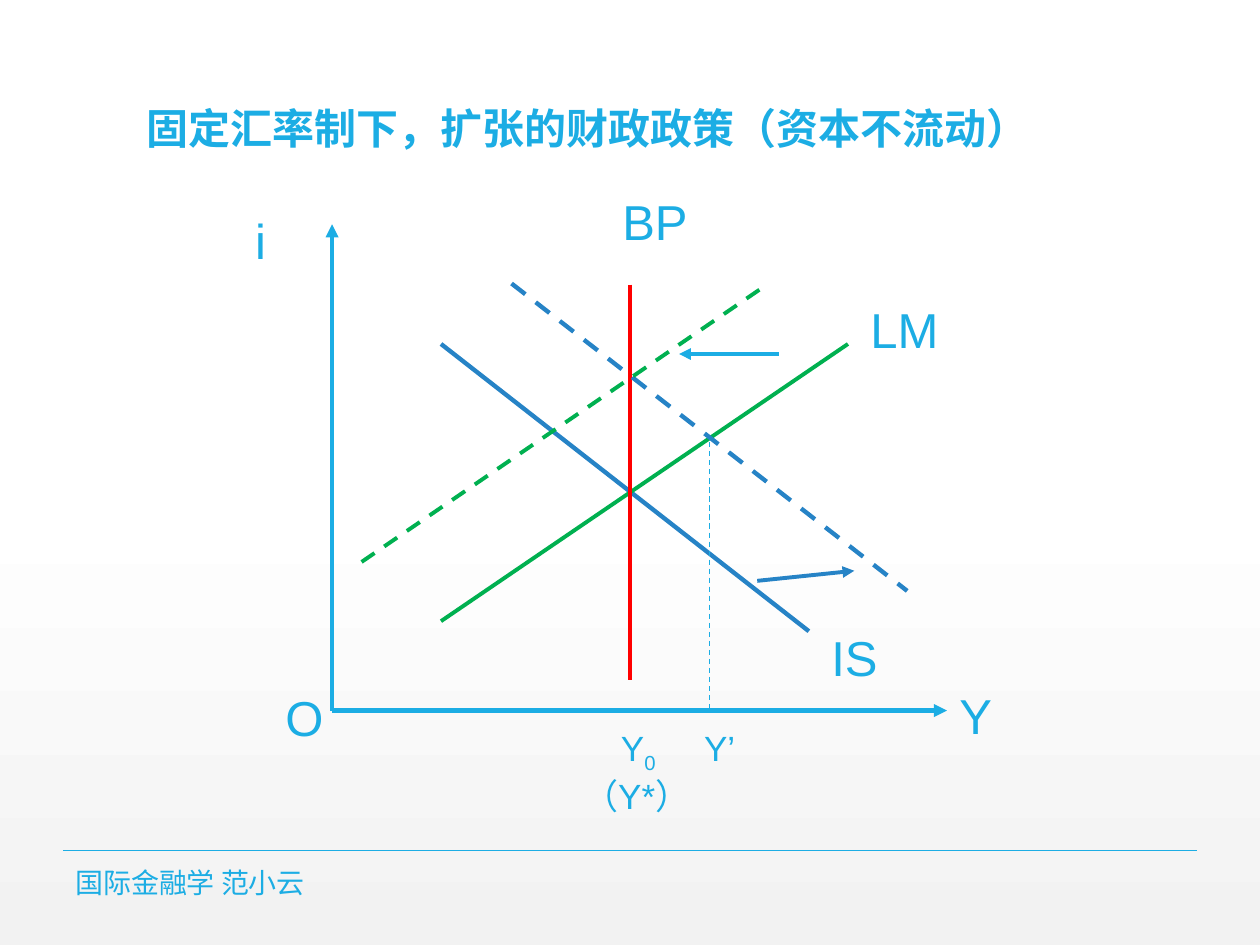
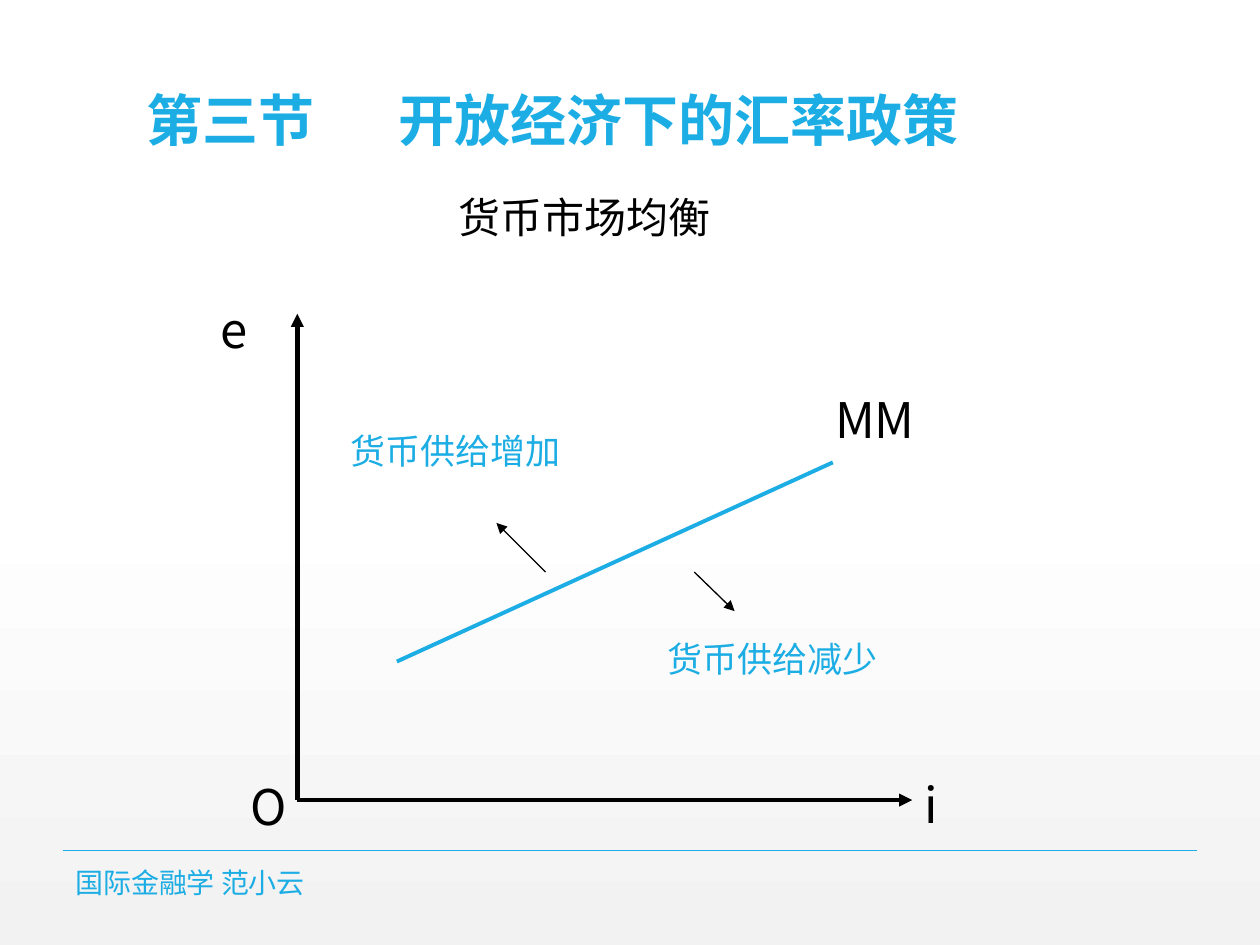
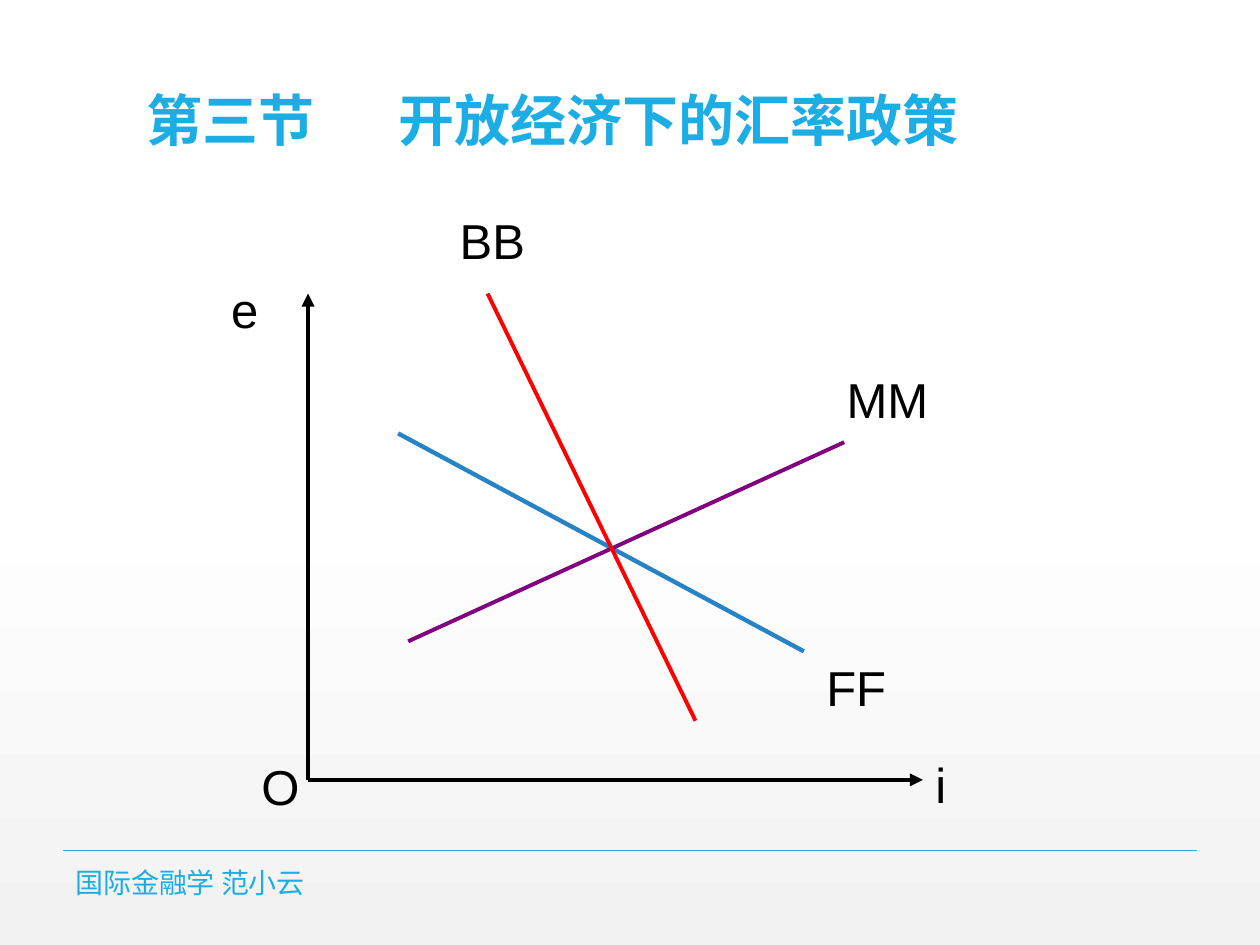
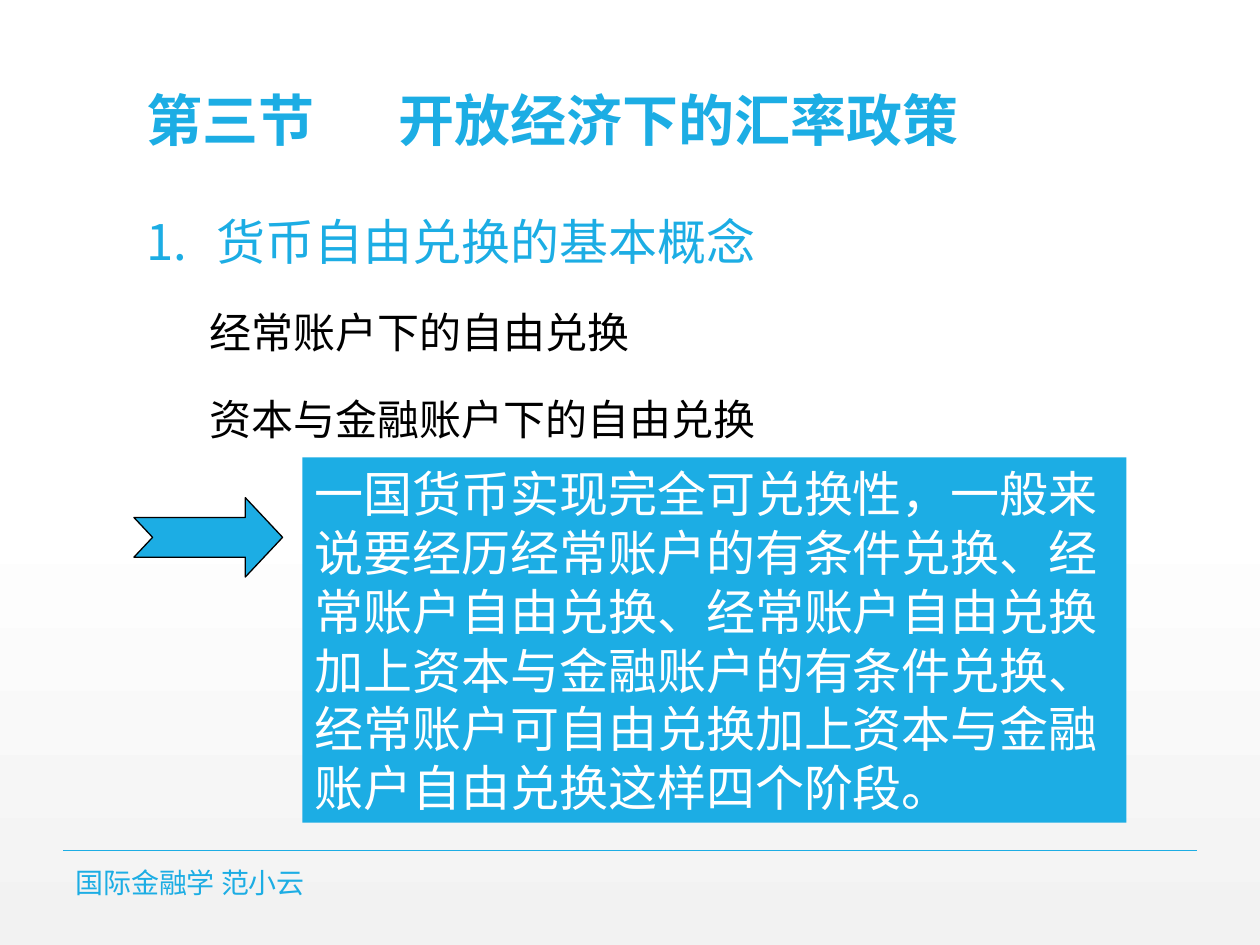
import copy

import pptx
import pptx.dml.color
import pptx.enum.dml
import pptx.enum.shapes
import pptx.enum.text
import pptx.oxml
import pptx.oxml.ns
import pptx.util

BLUE, DARK_BLUE, GREEN = "1CADE4", "2683C6", "00B050"
RED, PURPLE, BLACK, WHITE = "FF0000", "800080", "000000", "FFFFFF"
LATIN, CHINESE = "Arial", "Noto Sans CJK SC"
SECTION_TITLE = "第三节\t开放经济下的汇率政策"
NAMESPACE = pptx.oxml.ns.nsdecls("a")

presentation = pptx.Presentation()
presentation.slide_width = pptx.util.Inches(10)
presentation.slide_height = pptx.util.Inches(7.5)

# Grid: 100 columns by 75 rows
COLUMN = presentation.slide_width / 100
ROW = presentation.slide_height / 75
CONTENT_LEFT = 10.63


def add_text(slide, text, box, size, color, font=LATIN, bold=False, anchor="TOP", shape_type=None):
    """Add text in a box of columns and rows; "|" separates runs, a newline paragraphs."""
    left, top, width, height = box
    place = [round(left * COLUMN), round(top * ROW), round(width * COLUMN), round(height * ROW)]
    if shape_type is None:
        shape = slide.shapes.add_textbox(*place)
    else:
        shape = slide.shapes.add_shape(shape_type, *place)
        shape.shadow.inherit = False
    frame = shape.text_frame
    frame.word_wrap = True
    frame.vertical_anchor = pptx.enum.text.MSO_ANCHOR[anchor]
    first, *others = text.split("|")
    frame.text = first
    for part in others:
        frame.paragraphs[0].add_run().text = part
    for paragraph in frame.paragraphs:
        paragraph.alignment = pptx.enum.text.PP_ALIGN.LEFT
        for run in paragraph.runs:
            run.font.size = pptx.util.Pt(size)
            run.font.bold = bold
            run.font.name = font
            run.font.color.rgb = pptx.dml.color.RGBColor.from_string(color)
            east_asian = pptx.oxml.parse_xml(f'<a:ea {NAMESPACE} typeface="{CHINESE}"/>')
            run._r.get_or_add_rPr().append(east_asian)
    return shape


def add_line(slide, start, end, color, width=2.25, style=""):
    """Draw a line between grid points; style may hold "dash" or "arrow"."""
    connector = slide.shapes.add_connector(
        pptx.enum.shapes.MSO_CONNECTOR.STRAIGHT,
        round(start[0] * COLUMN), round(start[1] * ROW),
        round(end[0] * COLUMN), round(end[1] * ROW))
    connector.line.color.rgb = pptx.dml.color.RGBColor.from_string(color)
    connector.line.width = pptx.util.Pt(width)
    if style == "dash":
        connector.line.dash_style = pptx.enum.dml.MSO_LINE.DASH
    if style == "arrow":
        arrowhead = pptx.oxml.parse_xml(f'<a:tailEnd {NAMESPACE} type="triangle"/>')
        connector.line._get_or_add_ln().append(arrowhead)
    connector._element.spPr.append(pptx.oxml.parse_xml(f"<a:effectLst {NAMESPACE}/>"))


# Shared background: white fading to light grey
master = presentation.slide_master
fill = master.background.fill
fill.gradient()
fill.gradient_angle = 270
stop_list = master.element.find(".//" + pptx.oxml.ns.qn("a:gsLst"))
stop_list.insert(1, copy.deepcopy(stop_list[0]))
for stop, (position, color) in zip(fill.gradient_stops, [(0, WHITE), (0.53, WHITE), (1, "F2F2F2")]):
    stop.position = position
    stop.color.rgb = pptx.dml.color.RGBColor.from_string(color)

# Shared title with its tab stop, rule and footer
slides = []
for title, title_size in [("固定汇率制下，扩张的财政政策（资本不流动）", 24)] + [(SECTION_TITLE, 32)] * 3:
    slide = presentation.slides.add_slide(presentation.slide_layouts[6])
    add_line(slide, (5, 67.5), (95, 67.5), BLUE, 1)
    heading = add_text(slide, title, (CONTENT_LEFT, 0.2, 78.8, 12.5), title_size, BLUE, bold=True, anchor="BOTTOM")
    paragraph = heading.text_frame.paragraphs[0]
    paragraph.line_spacing = 0.9
    paragraph._p.get_or_add_pPr().append(pptx.oxml.parse_xml(
        f'<a:tabLst {NAMESPACE}><a:tab pos="{round(20 * COLUMN)}" algn="l"/></a:tabLst>'))
    add_text(slide, "国际金融学 范小云", (5, 68.8, 50.3, 2.4), 16, BLUE, CHINESE, anchor="MIDDLE")
    slides.append(slide)
policy_slide, money_slide, equilibrium_slide, convertibility_slide = slides

# Axes with their labels, all placed from the origin
for slide, (x, y), color, font, vertical, horizontal in [
    (policy_slide, (26.36, 56.4), BLUE, LATIN, "i", "Y"),
    (money_slide, (23.6, 63.5), BLACK, CHINESE, "e", "i"),
    (equilibrium_slide, (24.45, 61.9), BLACK, LATIN, "e", "i"),
]:
    add_line(slide, (x, y), (x, y - 38.6), color, 2.5, "arrow")
    add_line(slide, (x, y), (x + 48.8, y), color, 2.5, "arrow")
    for label, across, down in [(vertical, -7.1, -40.2), (horizontal, 48.8, -2.5), ("O", -4.7, -2.35)]:
        add_text(slide, label, (x + across, y + down, 5.5, 5.7), 28, color, font)

# Curves and shift arrows
for slide, start, end, color, width, style in [
    (policy_slide, (35, 27.3), (64.2, 50.1), DARK_BLUE, 2.5, ""),
    (policy_slide, (35, 49.3), (67.3, 27.3), GREEN, 2.25, ""),
    (policy_slide, (50, 22.6), (50, 54), RED, 2.25, ""),
    (policy_slide, (40.6, 22.5), (72, 46.9), DARK_BLUE, 2.5, "dash"),
    (policy_slide, (60.1, 46.1), (67.8, 45.3), DARK_BLUE, 2.25, "arrow"),
    (policy_slide, (28.7, 44.6), (61, 22.5), GREEN, 2.25, "dash"),
    (policy_slide, (61.8, 28.1), (53.9, 28.1), BLUE, 2.25, "arrow"),
    (policy_slide, (56.3, 35.1), (56.3, 56.4), BLUE, 0.75, "dash"),
    (money_slide, (31.5, 52.5), (66.1, 36.7), BLUE, 2.25, ""),
    (money_slide, (43.3, 45.4), (39.4, 41.5), BLACK, 0.75, "arrow"),
    (money_slide, (55.1, 45.4), (58.3, 48.5), BLACK, 0.75, "arrow"),
    (equilibrium_slide, (31.6, 34.4), (63.8, 51.7), DARK_BLUE, 2.5, ""),
    (equilibrium_slide, (32.4, 50.9), (67, 35.1), PURPLE, 2.25, ""),
    (equilibrium_slide, (38.7, 23.3), (55.2, 57.2), RED, 2.25, ""),
]:
    add_line(slide, start, end, color, width, style)

# Curve labels
for slide, label, box, size, color, font in [
    (policy_slide, "LM", (68.1, 23.3, 7.9, 5.7), 28, BLUE, LATIN),
    (policy_slide, "BP", (48.4, 14.7, 7.9, 5.7), 28, BLUE, LATIN),
    (policy_slide, "IS", (65, 49.3, 7.1, 5.7), 28, BLUE, LATIN),
    (policy_slide, "Y’", (54.9, 57.2, 8.7, 4.3), 20, BLUE, LATIN),
    (money_slide, "MM", (65.3, 30.4, 10.2, 5.7), 28, BLACK, CHINESE),
    (money_slide, "货币市场均衡", (35.4, 14.7, 35.4, 5), 24, BLACK, CHINESE),
    (money_slide, "货币供给增加", (26.8, 33.6, 29.9, 4.4), 20, BLUE, CHINESE),
    (money_slide, "货币供给减少", (52, 50.1, 26, 4.4), 20, BLUE, CHINESE),
    (equilibrium_slide, "MM", (66.2, 28.8, 10.2, 5.7), 28, BLACK, LATIN),
    (equilibrium_slide, "BB", (35.5, 16.2, 7.9, 5.7), 28, BLACK, LATIN),
    (equilibrium_slide, "FF", (64.6, 51.7, 7.1, 5.7), 28, BLACK, LATIN),
]:
    add_text(slide, label, box, size, color, font)

# Initial income, with subscript and indented first line
income = add_text(policy_slide, "Y|0|（Y*）", (45.3, 57.2, 12.8, 7.7), 20, BLUE)
income.text_frame.margin_right = 0
paragraph = income.text_frame.paragraphs[0]
paragraph._p.get_or_add_pPr().set("indent", str(round(3 * COLUMN)))
paragraph.runs[1]._r.get_or_add_rPr().set("baseline", "-25000")

# Convertibility: numbered heading and two indented lines
outline = add_text(
    convertibility_slide,
    "货币自由兑换的基本概念\n经常账户下的自由兑换\n资本与金融账户下的自由兑换",
    (CONTENT_LEFT, 15.8, 78.8, 53), 24, BLACK, CHINESE)
for paragraph, margin, indent in zip(outline.text_frame.paragraphs, (5.6, 0, 0), (-5.6, 5, 5)):
    paragraph.line_spacing = 1.1
    paragraph.space_before = pptx.util.Pt(18)
    properties = paragraph._p.get_or_add_pPr()
    properties.set("marL", str(round(margin * COLUMN)))
    properties.set("indent", str(round(indent * COLUMN)))
numbered = outline.text_frame.paragraphs[0]
numbered.runs[0].font.size = pptx.util.Pt(28)
numbered.runs[0].font.color.rgb = pptx.dml.color.RGBColor.from_string(BLUE)
numbered._p.get_or_add_pPr().append(
    pptx.oxml.parse_xml(f'<a:buAutoNum {NAMESPACE} type="arabicPeriod"/>'))

# Convertibility: arrow and callout with the four stages
stages = add_text(
    convertibility_slide,
    "一国货币实现完全可兑换性，一般来说要经历经常账户的有条件兑换、经常账户自由兑换、"
    "经常账户自由兑换加上资本与金融账户的有条件兑换、"
    "经常账户可自由兑换加上资本与金融账户自由兑换这样四个阶段。",
    (24, 36.3, 65.4, 29), 28, WHITE, shape_type=pptx.enum.shapes.MSO_SHAPE.RECTANGLE)
stages.line.fill.background()
arrow = add_text(
    convertibility_slide, "", (CONTENT_LEFT, 39.5, 11.8, 6.3), 28, WHITE,
    shape_type=pptx.enum.shapes.MSO_SHAPE.NOTCHED_RIGHT_ARROW)
arrow.adjustments[0], arrow.adjustments[1] = 0.5, 0.47
arrow.line.color.rgb = pptx.dml.color.RGBColor.from_string(BLACK)
arrow.line.width = pptx.util.Pt(0.75)
for shape in (stages, arrow):
    shape.fill.solid()
    shape.fill.fore_color.rgb = pptx.dml.color.RGBColor.from_string(BLUE)

presentation.save("out.pptx")
